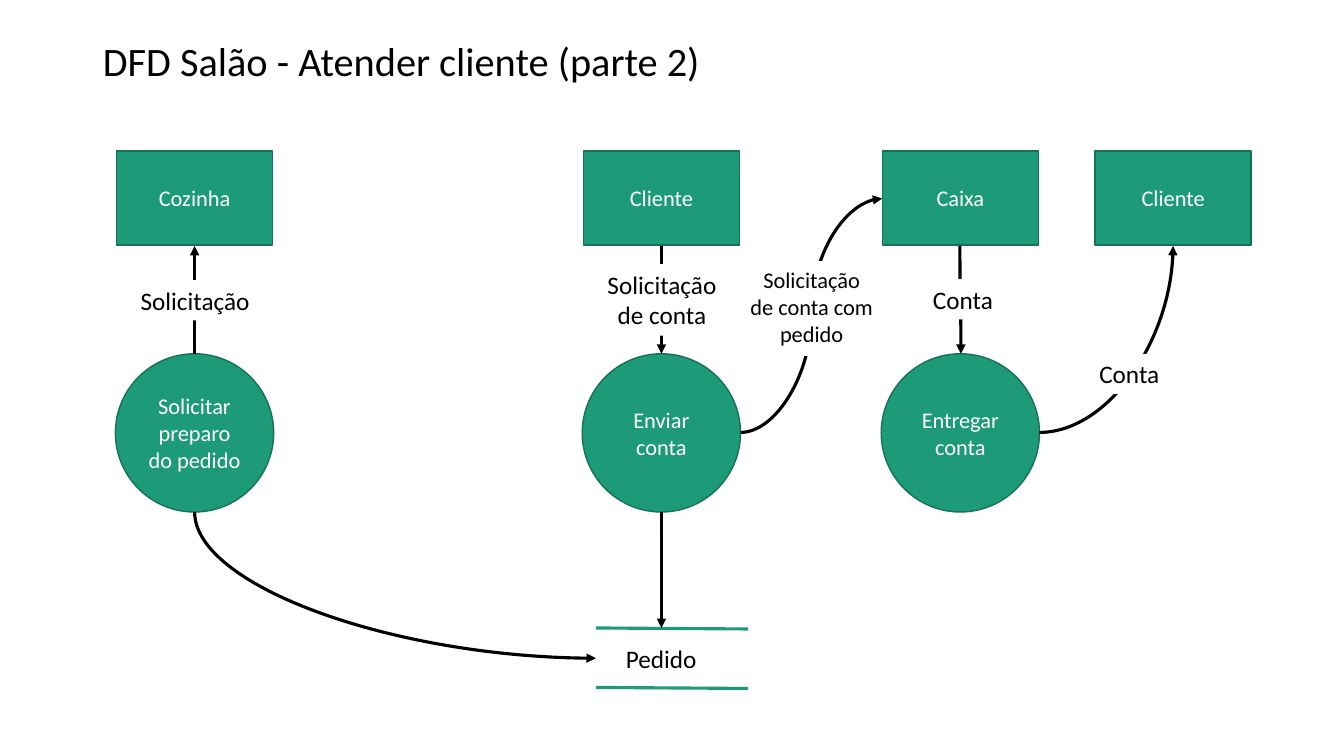
from lxml.etree import SubElement
from pptx import Presentation
from pptx.dml.color import RGBColor
from pptx.enum.shapes import MSO_CONNECTOR as Link, MSO_SHAPE as Shape
from pptx.enum.text import MSO_ANCHOR as Anchor, MSO_AUTO_SIZE as AutoSize, PP_ALIGN as Align
from pptx.oxml.ns import qn
from pptx.util import Inches, Pt

GREEN, DARK_GREEN, BLACK, WHITE = "1D9A78", "157259", "000000", "FFFFFF"

# Column centres and row positions of the diagram, in inches
KITCHEN, CUSTOMER, CASHIER, RECEIVER = 1.93, 6.56, 9.525, 11.635
ENTITY_TOP, ENTITY_WIDTH, ENTITY_HEIGHT = 1.5, 1.55, 0.93
ENTITY_MIDDLE, ENTITY_BOTTOM = 1.97, 2.44
PROCESS_TOP, PROCESS_SIZE = 3.51, 1.57
PROCESS_MIDDLE, PROCESS_BOTTOM = 4.29, 5.08
STORE_LEFT, STORE_RIGHT, STORE_TOP, STORE_BOTTOM = 5.91, 7.42, 6.23, 6.82


def color(value):
    return RGBColor.from_string(value)


def write(frame, text, size=16, ink=BLACK, align=Align.CENTER, anchor=Anchor.TOP,
          wrap=True, spacing=None):
    frame.word_wrap = wrap
    frame.vertical_anchor = anchor
    for index, line in enumerate(text.split("\n")):
        para = frame.add_paragraph() if index else frame.paragraphs[0]
        para.alignment = align
        para.line_spacing = spacing
        span = para.add_run()
        span.text = line
        span.font.name = "Calibri"
        span.font.size = Pt(size)
        span.font.color.rgb = color(ink)


def add_node(slide, kind, text, center, top, width, height):
    node = slide.shapes.add_shape(kind, Inches(center - width / 2), Inches(top),
                                  Inches(width), Inches(height))
    node.shadow.inherit = False
    node.fill.solid()
    node.fill.fore_color.rgb = color(GREEN)
    node.line.color.rgb = color(DARK_GREEN)
    node.line.width = Pt(1)
    write(node.text_frame, text, ink=WHITE, anchor=Anchor.MIDDLE)


def add_entity(slide, text, center):
    add_node(slide, Shape.RECTANGLE, text, center, ENTITY_TOP, ENTITY_WIDTH, ENTITY_HEIGHT)


def add_process(slide, text, center):
    add_node(slide, Shape.OVAL, text, center, PROCESS_TOP, PROCESS_SIZE, PROCESS_SIZE)


def add_line(shapes, start, end, ink=BLACK, kind=Link.STRAIGHT, arrow=True):
    line = shapes.add_connector(kind, *map(Inches, (*start, *end)))
    line.line.color.rgb = color(ink)
    line.line.width = Pt(2.25)
    properties = line._element.spPr
    if arrow:
        SubElement(properties.find(qn("a:ln")), qn("a:tailEnd"), type="triangle")
    SubElement(properties, qn("a:effectLst"))
    return properties


def add_curve(slide, start, end, preset="curvedConnector3", leaves_down=False):
    if leaves_down:
        # A quarter turn about the centre makes the curve leave vertically
        (x1, y1), (x2, y2) = start, end
        middle_x, middle_y = (x1 + x2) / 2, (y1 + y2) / 2
        half_x, half_y = (x2 - x1) / 2, (y2 - y1) / 2
        start = middle_x + half_y, middle_y - half_x
        end = middle_x - half_y, middle_y + half_x
    properties = add_line(slide.shapes, start, end, kind=Link.CURVE)
    properties.find(qn("a:prstGeom")).set("prst", preset)
    if leaves_down:
        properties.find(qn("a:xfrm")).set("rot", str(270 * 60000))


def add_label(shapes, text, left, top, width, height, fill=WHITE, **format):
    box = shapes.add_textbox(*map(Inches, (left, top, width, height)))
    if fill:
        box.fill.solid()
        box.fill.fore_color.rgb = color(fill)
    write(box.text_frame, text, **format)
    box.text_frame.auto_size = AutoSize.SHAPE_TO_FIT_TEXT


def add_store(slide, text):
    store = slide.shapes.add_group_shape().shapes
    for y in (STORE_BOTTOM, STORE_TOP):
        add_line(store, (STORE_LEFT, y), (STORE_RIGHT, y + 0.01), ink=GREEN, arrow=False)
    add_label(store, text, 6.11, 6.33, 0.91, 0.4, fill=None, size=18,
              align=Align.LEFT, wrap=False)


def add_title(slide, text):
    title = slide.shapes.title
    title.left, title.top, title.width, title.height = map(Inches, (0.92, 0.4, 11.5, 0.46))
    write(title.text_frame, text, size=28.8, align=Align.LEFT, anchor=Anchor.MIDDLE,
          spacing=0.9)


def main():
    deck = Presentation()
    deck.slide_width, deck.slide_height = Inches(13.33), Inches(7.5)
    slide = deck.slides.add_slide(deck.slide_layouts[5])
    add_title(slide, "DFD Salão - Atender cliente (parte 2)")

    # Entities, processes and data store
    for text, center in (("Cozinha", KITCHEN), ("Cliente", CUSTOMER),
                         ("Caixa", CASHIER), ("Cliente", RECEIVER)):
        add_entity(slide, text, center)
    for text, center in (("Solicitar preparo do pedido", KITCHEN),
                         ("Enviar conta", CUSTOMER), ("Entregar conta", CASHIER)):
        add_process(slide, text, center)
    add_store(slide, "Pedido")

    # Straight flows
    for center, start, end in ((CUSTOMER, ENTITY_BOTTOM, PROCESS_TOP),
                               (KITCHEN, PROCESS_TOP, ENTITY_BOTTOM),
                               (CUSTOMER, PROCESS_BOTTOM, STORE_TOP)):
        add_line(slide.shapes, (center, start), (center, end))

    # Curved flows
    radius = PROCESS_SIZE / 2
    add_curve(slide, (KITCHEN, PROCESS_BOTTOM), (STORE_LEFT, 6.53),
              "curvedConnector2", leaves_down=True)
    add_curve(slide, (CUSTOMER + radius, PROCESS_MIDDLE),
              (CASHIER - ENTITY_WIDTH / 2, ENTITY_MIDDLE))
    add_curve(slide, (9.52, ENTITY_BOTTOM), (9.53, PROCESS_TOP), leaves_down=True)
    add_curve(slide, (CASHIER + radius, PROCESS_MIDDLE), (RECEIVER, ENTITY_BOTTOM),
              "curvedConnector2")

    # Flow labels, each masking its line
    for text, left, top, width, height, size in (
            ("Solicitação", 1.12, 2.78, 1.63, 0.4, 18),
            ("Solicitação\nde conta", 5.42, 2.62, 2.29, 0.71, 18),
            ("Solicitação\nde conta com\npedido", 7.26, 2.59, 1.58, 0.94, 16),
            ("Conta", 8.76, 2.77, 1.58, 0.4, 18),
            ("Conta", 10.41, 3.51, 1.58, 0.4, 18)):
        add_label(slide.shapes, text, left, top, width, height, size=size)

    deck.save("out.pptx")


if __name__ == "__main__":
    main()
